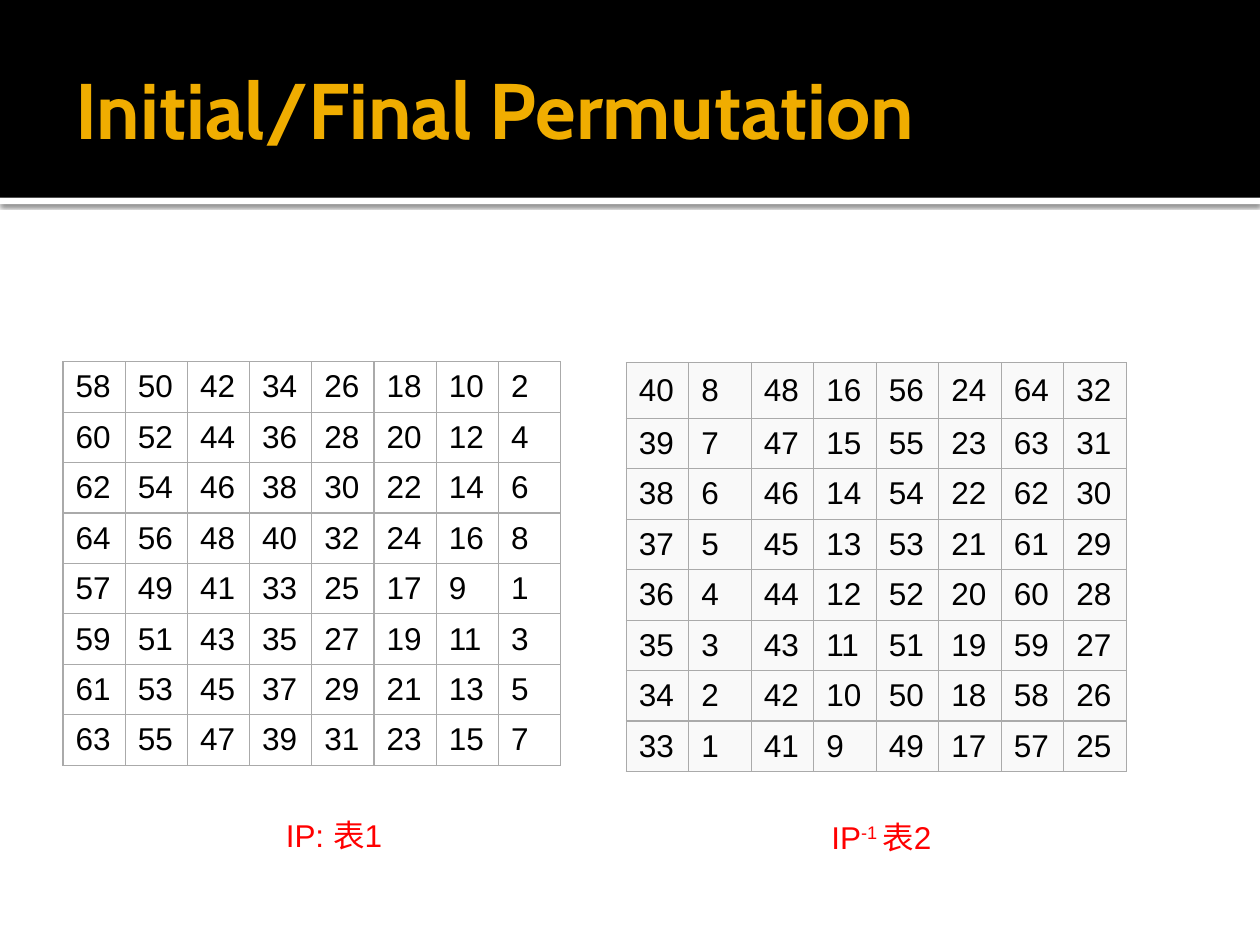
from lxml import etree
from pptx import Presentation
from pptx.dml.color import RGBColor
from pptx.enum.shapes import MSO_SHAPE as Shape
from pptx.enum.text import MSO_ANCHOR as Anchor
from pptx.oxml import parse_xml
from pptx.oxml.ns import nsdecls, qn
from pptx.util import Inches, Pt

BLACK = RGBColor(0x00, 0x00, 0x00)
WHITE = RGBColor(0xFF, 0xFF, 0xFF)
GOLD = RGBColor(0xF0, 0xAD, 0x00)
RED = RGBColor(0xFF, 0x00, 0x00)
PALE = RGBColor(0xF9, 0xF9, 0xF9)
GRAY = RGBColor(0xAA, 0xAA, 0xAA)

SIZE = 8


def set_font(para, name, size, color):
    font = para.font
    font.name, font.size = name, Pt(size)
    font.color.rgb = color


def add_border(cell):
    props = cell._tc.get_or_add_tcPr()
    for i, side in enumerate(("lnL", "lnR", "lnT", "lnB")):
        line = parse_xml(
            f'<a:{side} {nsdecls("a")} w="{Pt(0.75)}"><a:solidFill>'
            f'<a:srgbClr val="{GRAY}"/></a:solidFill></a:{side}>')
        props.insert(i, line)


deck = Presentation()
deck.slide_width, deck.slide_height = Inches(10), Inches(7.5)
slide = deck.slides.add_slide(deck.slide_layouts[6])
shapes = slide.shapes

# Header band, with a white strip that casts a shadow
for top, height, color in ((1.57, 0.05, WHITE), (0, 1.57, BLACK)):
    band = shapes.add_shape(
        Shape.RECTANGLE, 0, Inches(top), Inches(10), Inches(height))
    band.shadow.inherit = False
    band.fill.solid()
    band.fill.fore_color.rgb = color
    band.line.fill.background()
    if color == WHITE:
        effects = band._element.spPr.find(qn("a:effectLst"))
        shadow = etree.SubElement(
            effects, qn("a:outerShdw"), blurRad=str(Pt(2.5)),
            dist=str(Pt(0.8)), dir="5400000", algn="tl", rotWithShape="0")
        tint = etree.SubElement(shadow, qn("a:srgbClr"), val=str(BLACK))
        etree.SubElement(tint, qn("a:alpha"), val="60000")

# Title
box = shapes.add_textbox(Inches(0.5), Inches(0.17), Inches(9), Inches(1.37))
frame = box.text_frame
frame.word_wrap = True
frame.vertical_anchor = Anchor.MIDDLE
frame.margin_right = Inches(0.05)
para = frame.paragraphs[0]
para.text = "Initial/Final Permutation"
set_font(para, "Cabin", 45, GOLD)
para.font.bold = True

# Permutation values: the final one is the inverse of the initial one
starts = (58, 60, 62, 64, 57, 59, 61, 63)
first = [[start - 8 * c for c in range(SIZE)] for start in starts]
order = sum(first, [])
places = [order.index(n) + 1 for n in range(1, SIZE * SIZE + 1)]
final = [places[r * SIZE:(r + 1) * SIZE] for r in range(SIZE)]

# Tables: values, left, top, width, first row, other rows, fill
tables = (
    (first, 0.5, 2.87, 3.95, 0.38, 0.38, None),
    (final, 4.97, 2.88, 3.97, 0.44, 0.4, PALE),
)
for values, left, top, width, head, step, fill in tables:
    height = head + (SIZE - 1) * step
    grid = shapes.add_table(SIZE, SIZE, Inches(left), Inches(top),
                            Inches(width), Inches(height)).table
    grid.first_row = grid.horz_banding = False
    for col in grid.columns:
        col.width = Inches(width / SIZE)
    for r, row in enumerate(grid.rows):
        row.height = Inches(step if r else head)
        for c, cell in enumerate(row.cells):
            cell.text = str(values[r][c])
            cell.vertical_anchor = Anchor.MIDDLE
            set_font(cell.text_frame.paragraphs[0], "Arial", 18, BLACK)
            if fill:
                cell.fill.solid()
                cell.fill.fore_color.rgb = fill
            else:
                cell.fill.background()
            add_border(cell)

# Captions: left, top, width, height, runs with their baseline
captions = (
    (2.17, 6.43, 1.1, 0.71, (("IP: 表1", 0),)),
    (6.5, 6.44, 1.18, 0.4, (("IP", 0), ("-1 ", 30), ("表2", 0))),
)
for left, top, width, height, runs in captions:
    box = shapes.add_textbox(
        Inches(left), Inches(top), Inches(width), Inches(height))
    para = box.text_frame.paragraphs[0]
    set_font(para, "Arial", 18, RED)
    for text, rise in runs:
        run = para.add_run()
        run.text = text
        if rise:
            run._r.get_or_add_rPr().set("baseline", str(rise * 1000))

deck.save("out.pptx")
